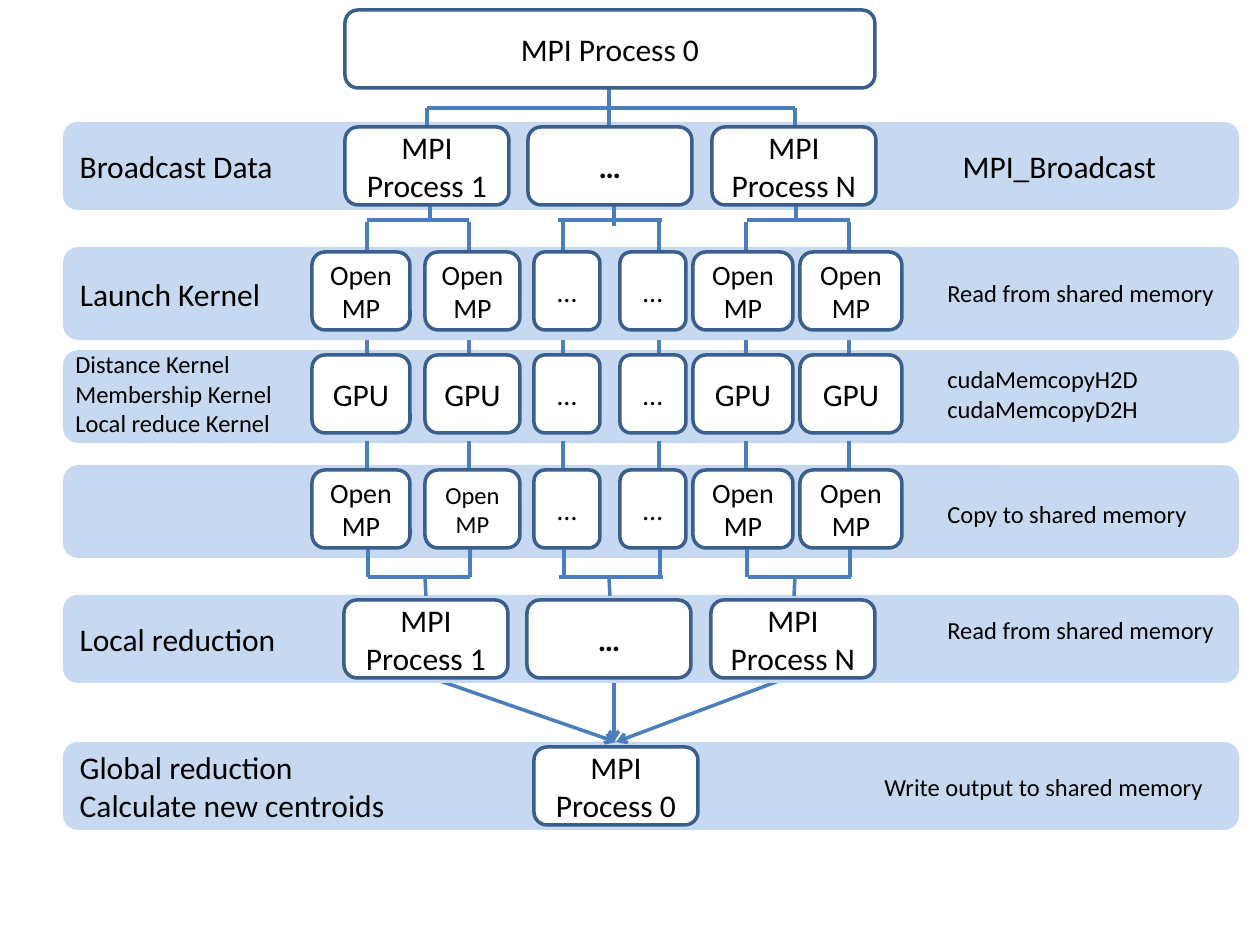
"""Build a one-slide diagram of a clustering run over MPI, OpenMP and GPU layers."""
from lxml import etree
from pptx import Presentation, util as u
from pptx.dml.color import RGBColor
from pptx.enum import shapes, text
from pptx.oxml.ns import qn

SCALE = 914400 / 126
BAND_FILL = RGBColor(0xC6, 0xD9, 0xF1)
WHITE = RGBColor(0xFF, 0xFF, 0xFF)
BLACK = RGBColor(0, 0, 0)
OUTLINE = RGBColor(0x3A, 0x5F, 0x8C)
LINK = RGBColor(0x4B, 0x7E, 0xBC)
FONT = "Calibri"
BAND_X, BAND_W, BOX_H, BOX_INSET = 63, 1176, 78, 5
BROADCAST_TAB = 883

BANDS = {
    "kernels": (350, 93, []),
    "broadcast": (122, 88, ["Broadcast Data\tMPI_Broadcast"]),
    "global": (742, 88, ["Global reduction", "Calculate new centroids"]),
    "launch": (247, 93, ["Launch Kernel"]),
    "local": (595, 88, ["Local reduction"]),
    "copy": (465, 93, []),
}
LOWER_BANDS = ("kernels", "broadcast", "global")
UPPER_BANDS = ("launch", "local", "copy")

PROCESSES = ["MPI Process 1", "…", "MPI Process N"]
PROCESS_COLUMNS = [(345, 164), (528, 164), (712, 164)]
PROCESS_ROWS = {"broadcast": 0, "local": -1}

WORKER_COLUMNS = [(312, 98), (425, 95), (534, 66), (620, 66), (693, 100), (800, 102)]
ELLIPSIS_COLUMNS = (2, 3)
WORKER_ROWS = {
    "launch": ("OpenMP", [16] * 6),
    "kernels": ("GPU", [18, 18, 16, 16, 18, 18]),
    "copy": ("OpenMP", [16, 14, 16, 16, 16, 16]),
}

WORKER_LINKS = [367, 469, 563, 659, 746, 849]
FORK_BARS = [(367, 469), (558, 662), (747, 850)]
FORK_STEMS = [(430, 222), (614, 226), (796, 221)]
JOIN_STEMS = [(425, 426), (609, 610), (795, 794)]
GATHER_ARROWS = [(417, 616), (614, 614), (800, 616)]

NOTES = [
    (935, 272, 305, 43, ["Read from shared memory"]),
    (935, 358, 262, 72, ["cudaMemcopyH2D", "cudaMemcopyD2H"]),
    (935, 493, 292, 43, ["Copy to shared memory"]),
    (935, 609, 300, 43, ["Read from shared memory"]),
    (872, 766, 350, 43, ["Write output to shared memory"]),
    (63, 343, 252, 102, ["Distance Kernel", "Membership Kernel", "Local reduce Kernel"]),
]


def px(value):
    return u.Emu(round(value * SCALE))


def write(shape, lines, size, align, bold=False):
    frame = shape.text_frame
    frame.word_wrap = True
    for index, line in enumerate(lines):
        paragraph = frame.paragraphs[0] if index == 0 else frame.add_paragraph()
        if "\t" in line:
            stops = etree.SubElement(paragraph._p.get_or_add_pPr(), qn("a:tabLst"))
            etree.SubElement(stops, qn("a:tab"), pos=str(px(BROADCAST_TAB)), algn="l")
        paragraph.alignment = align
        run = paragraph.add_run()
        run.text = line
        run.font.name, run.font.size, run.font.bold = FONT, u.Pt(size), bold
        run.font.color.rgb = BLACK


def add_round(slide, x, y, w, h, fill):
    shape = slide.shapes.add_shape(
        shapes.MSO_SHAPE.ROUNDED_RECTANGLE, px(x), px(y), px(w), px(h))
    shape.shadow.inherit = False
    shape.fill.solid()
    shape.fill.fore_color.rgb = fill
    shape.text_frame.vertical_anchor = text.MSO_ANCHOR.MIDDLE
    return shape


def add_band(slide, name):
    top, height, lines = BANDS[name]
    band = add_round(slide, BAND_X, top, BAND_W, height, BAND_FILL)
    band.line.fill.background()
    write(band, lines, 18, text.PP_ALIGN.LEFT)


def add_box(slide, x, y, w, label, size=18, bold=False):
    box = add_round(slide, x, y, w, BOX_H, WHITE)
    box.line.color.rgb = OUTLINE
    box.line.width = u.Pt(2)
    write(box, [label], size, text.PP_ALIGN.CENTER, bold)


def add_link(slide, x1, y1, x2, y2, arrow=False):
    link = slide.shapes.add_connector(
        shapes.MSO_CONNECTOR.STRAIGHT, px(x1), px(y1), px(x2), px(y2))
    link.line.color.rgb = LINK
    link.line.width = u.Pt(2)
    if arrow:
        etree.SubElement(link.line._get_or_add_ln(), qn("a:tailEnd"), type="arrow")
    etree.SubElement(link._element.spPr, qn("a:effectLst"))


def add_links_under_bands(slide):
    add_link(slide, 427, 108, 795, 108)
    for x, top in ((427, 108), (609, 79), (795, 108)):
        add_link(slide, x, top, x, 137)
    for x in WORKER_LINKS:
        add_link(slide, x, 326, x, 355)
    for x, bottom in FORK_STEMS:
        add_link(slide, x, 195, x, bottom)
    for start, end in GATHER_ARROWS:
        add_link(slide, start, 673, end, 742, arrow=True)


def add_links_over_bands(slide):
    for x in WORKER_LINKS:
        add_link(slide, x, 222, x, 252)
        add_link(slide, x, 441, x, 470)
        add_link(slide, x + 1, 548, x + 1, 577)
    for left, right in FORK_BARS:
        add_link(slide, left, 220, right, 220)
        add_link(slide, left + 1, 577, right + 1, 577)
    for start, end in JOIN_STEMS:
        add_link(slide, start, 577, end, 596)


def add_boxes(slide):
    add_box(slide, 345, 10, 530, "MPI Process 0")
    add_box(slide, 534, BANDS["global"][0] + BOX_INSET, 164, "MPI Process 0")
    for band, shift in PROCESS_ROWS.items():
        for (x, w), label in zip(PROCESS_COLUMNS, PROCESSES):
            add_box(slide, x + shift, BANDS[band][0] + BOX_INSET, w, label,
                    bold=label == "…")
    for band, (worker, sizes) in WORKER_ROWS.items():
        for column, ((x, w), size) in enumerate(zip(WORKER_COLUMNS, sizes)):
            label = "…" if column in ELLIPSIS_COLUMNS else worker
            add_box(slide, x, BANDS[band][0] + BOX_INSET, w, label, size)


def main():
    deck = Presentation()
    deck.slide_width, deck.slide_height = px(1260), px(945)
    slide = deck.slides.add_slide(deck.slide_layouts[6])
    for name in LOWER_BANDS:
        add_band(slide, name)
    add_links_under_bands(slide)
    for name in UPPER_BANDS:
        add_band(slide, name)
    add_links_over_bands(slide)
    add_boxes(slide)
    for x, y, w, h, lines in NOTES:
        note = slide.shapes.add_textbox(px(x), px(y), px(w), px(h))
        write(note, lines, 14, text.PP_ALIGN.LEFT)
    deck.save("out.pptx")


if __name__ == "__main__":
    main()
